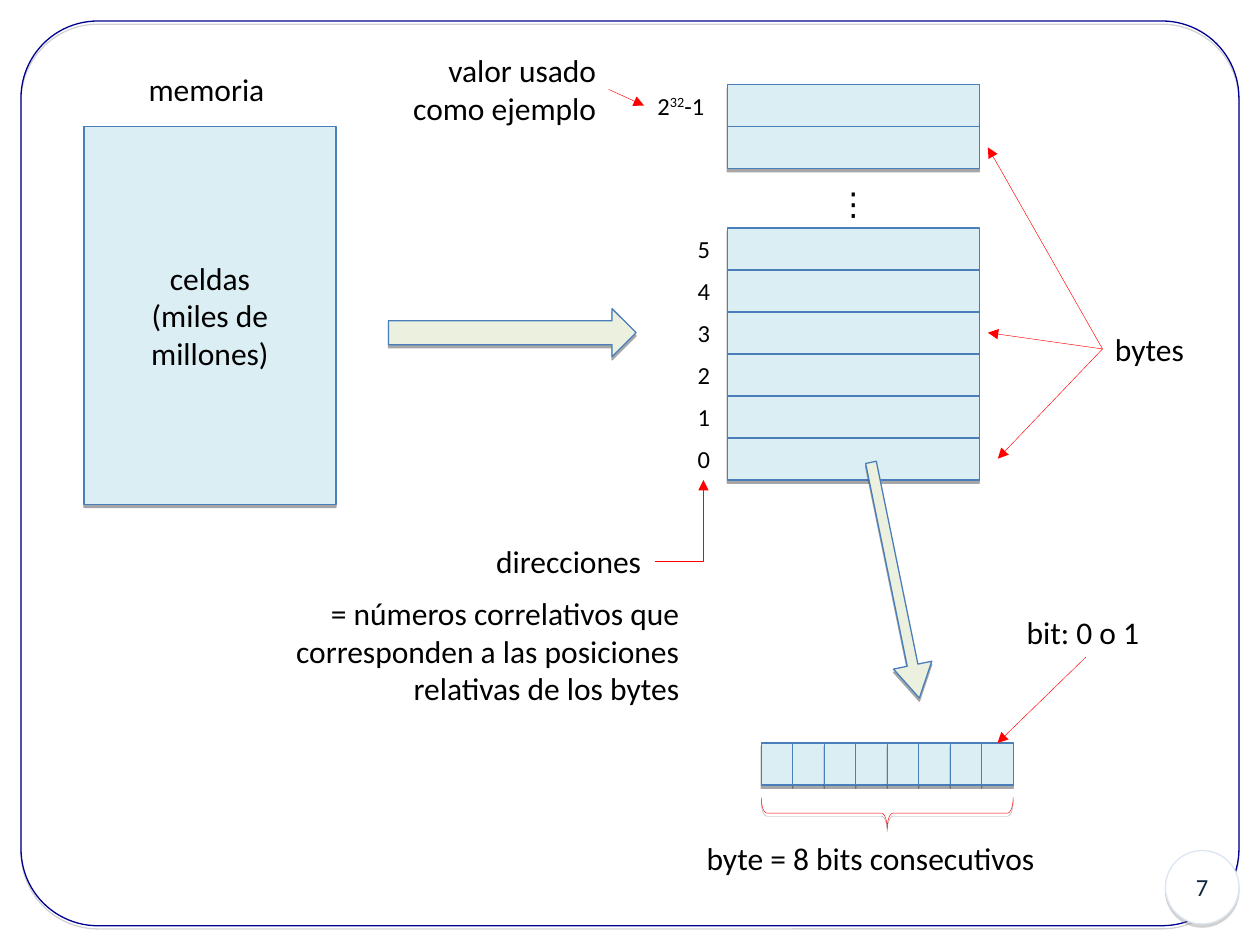
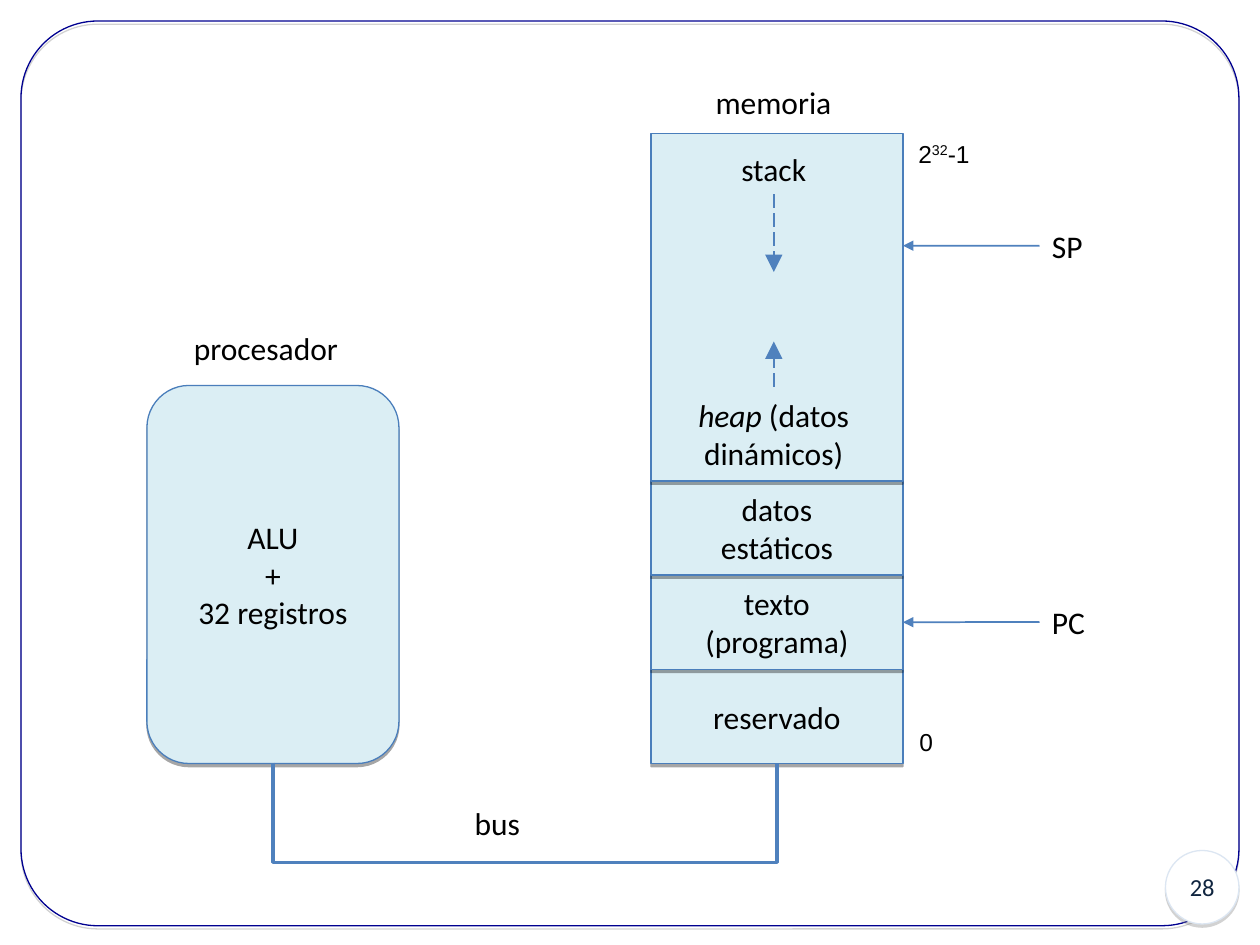
import pptx
import pptx.dml.color
import pptx.enum.dml
import pptx.enum.shapes
import pptx.enum.text
import pptx.oxml.ns
import pptx.util
from lxml import etree

Pt = pptx.util.Pt
qn = pptx.oxml.ns.qn
SHAPE = pptx.enum.shapes.MSO_SHAPE
CONN = pptx.enum.shapes.MSO_CONNECTOR
ALIGN = {"l": pptx.enum.text.PP_ALIGN.LEFT, "c": pptx.enum.text.PP_ALIGN.CENTER,
         "r": pptx.enum.text.PP_ALIGN.RIGHT}
TOP, LEFT, BOTTOM, RIGHT = range(4)


class Theme:
    frame, badge_line, badge_text = "000090", "DCE6F2", "10253F"
    cell, outline, arrow = "DBEEF4", "4A7EBB", "EBF1DE"
    red, blue, black, white, grey = "FF0000", "4F81BD", "000000", "FFFFFF", "808080"
    font, alt_font = "Calibri", "Arial"
    body, small = 18, 14
    thin, hair, medium, thick = 0.75, 0.25, 1, 2


# ---- Content: a line is a string or a list of (text, style) runs ----
TOP_ADDRESS = [[("2", ""), ("32", "sup"), ("-1", "")]]

# name: (lines, left, top, width, align)
BYTE_LABELS = {
    "bit": (["bit: 0 o 1"], 579.6, 346.6, 82, "l"),
    "byte": (["byte = 8 bits consecutivos"], 396.7, 476.2, 205, "l"),
    "addresses": (["direcciones"], 276.5, 306, 100, "l"),
    "bytes": (["bytes"], 630, 185, 57, "l"),
    "meaning": (["= números correlativos que", "corresponden a las posiciones",
                 "relativas de los bytes"], 160, 335.8, 235.3, "r"),
    "memory": (["memoria"], 77.8, 36.3, 83, "l"),
    "example": (["valor usado", "como ejemplo"], 227, 25.9, 120.8, "r"),
}
CELLS = ["celdas", "(miles de", "millones)"]
ADDRESSES = ["5", "4", "3", "2", "1", "0"]
BIT_COUNT = 8
BYTE_TARGETS = [(570.2, 262.1), (564.5, 190.1), (564.5, 84.2)]

PROCESSOR = ["ALU", "+", "32 registros"]
SEGMENTS = [["reservado"], ["texto", "(programa)"], ["datos", "estáticos"]]  # from address 0 up
BUS_LABELS = {
    "processor": (["procesador"], 103.7, 184.3, 100, "l"),
    "bus": (["bus"], 264.2, 455.8, 44, "l"),
    "heap": ([[("heap", "it"), (" (datos", "")], "dinámicos)"], 389.7, 222.8, 104.8, "c"),
    "stack": (["stack"], 414.2, 82.1, 55.8, "c"),
    "PC": (["PC"], 594, 341, 38, "l"),
    "SP": (["SP"], 594, 126, 38, "l"),
    "memory": (["memoria"], 401.8, 44.2, 83, "l"),
}
GROWTH = [(110.9, 155.5), (221, 195.1)]  # stack downwards, heap upwards


# ---- Helpers ----
def rgb(value):
    return pptx.dml.color.RGBColor.from_string(value)


def write(tf, lines, size, align, color=Theme.black, font=Theme.font):
    for i, line in enumerate(lines):
        p = tf.paragraphs[0] if i == 0 else tf.add_paragraph()
        p.alignment = ALIGN[align]
        for text, style in [(line, "")] if isinstance(line, str) else line:
            r = p.add_run()
            r.text = text
            r.font.size, r.font.name = Pt(size), font
            r.font.color.rgb = rgb(color)
            if style == "it":
                r.font.italic = True
            elif style == "sup":
                r._r.get_or_add_rPr().set("baseline", "30000")


def add_text(s, lines, x, y, w, align="l", size=Theme.body, font=Theme.font):
    height = 7.2 + 1.2 * size * len(lines)
    sp = s.shapes.add_textbox(Pt(x), Pt(y), Pt(w), Pt(height))
    tf = sp.text_frame
    tf.word_wrap = False
    tf.auto_size = pptx.enum.text.MSO_AUTO_SIZE.SHAPE_TO_FIT_TEXT
    write(tf, lines, size, align, font=font)
    return sp


def add_labels(s, labels):
    return {name: add_text(s, *label) for name, label in labels.items()}


def add_shape(s, kind, x, y, w, h, fill=Theme.cell, line=Theme.outline, width=Theme.thin,
              adj=(), rotation=0, shadow=Theme.black, lines=(), size=Theme.body,
              color=Theme.black):
    sp = s.shapes.add_shape(kind, Pt(x), Pt(y), Pt(w), Pt(h))
    for i, value in enumerate(adj):
        sp.adjustments[i] = value
    sp.rotation = rotation
    if fill:
        sp.fill.solid()
        sp.fill.fore_color.rgb = rgb(fill)
    else:
        sp.fill.background()
    sp.line.color.rgb, sp.line.width = rgb(line), Pt(width)
    # Short shadow straight down
    sp.shadow.inherit = False
    effects = sp._element.spPr.find(qn("a:effectLst"))
    drop = etree.SubElement(effects, qn("a:outerShdw"), blurRad="0", dist=str(Pt(1.8)),
                            dir="5400000", rotWithShape="0")
    tint = etree.SubElement(drop, qn("a:srgbClr"), val=shadow)
    etree.SubElement(tint, qn("a:alpha"), val="35000")
    if lines:
        tf = sp.text_frame
        tf.vertical_anchor = pptx.enum.text.MSO_ANCHOR.MIDDLE
        write(tf, lines, size, "c", color)
    return sp


def is_point(end):
    return isinstance(end[0], (int, float))


def add_line(s, start, end, color=Theme.red, width=Theme.hair, kind=CONN.STRAIGHT,
             head="med", dash=False):
    """Each end is a point (x, y) or a joint (shape, side); head is the arrowhead size."""
    points = [end_ if is_point(end_) else (0, 0) for end_ in (start, end)]
    sp = s.shapes.add_connector(kind, *[Pt(v) for point in points for v in point])
    if not is_point(start):
        sp.begin_connect(*start)
    if not is_point(end):
        sp.end_connect(*end)
    sp.line.color.rgb, sp.line.width = rgb(color), Pt(width)
    if dash:
        sp.line.dash_style = pptx.enum.dml.MSO_LINE.LONG_DASH
    spPr = sp._element.spPr
    if head:
        etree.SubElement(spPr.find(qn("a:ln")), qn("a:tailEnd"), type="triangle",
                         w=head, len=head)
    etree.SubElement(spPr, qn("a:effectLst"))
    return sp


def add_slide(prs, number):
    """Blank slide with the rounded frame and the page badge."""
    s = prs.slides.add_slide(prs.slide_layouts[6])
    add_shape(s, SHAPE.ROUNDED_RECTANGLE, 12, 12, 696, 517, fill=None, line=Theme.frame,
              adj=[0.085], shadow=Theme.grey)
    add_shape(s, SHAPE.OVAL, 666, 486, 42, 42, fill=Theme.white, line=Theme.badge_line,
              shadow=Theme.grey, lines=[number], size=Theme.small, color=Theme.badge_text)
    return s


# ---- Slides ----
def memory_slide(prs):
    s = add_slide(prs, "7")
    col_x, col_w, cell_h, top_y, low_y = 415.6, 144, 24, 48.3, 130.3
    bits_x, bits_y, bit_w = 435, 424.6, 18

    # One byte as a row of bits, with its brace
    bits = [add_shape(s, SHAPE.RECTANGLE, bits_x + i * bit_w, bits_y, bit_w, cell_h)
            for i in range(BIT_COUNT)]
    add_shape(s, SHAPE.LEFT_BRACE, 498, 392.6, 18, BIT_COUNT * bit_w, fill=None,
              line=Theme.red, width=Theme.hair, adj=[0.18, 0.5], rotation=270)

    # Memory column: low addresses, gap, the two highest cells
    for i, address in enumerate(ADDRESSES):
        y = low_y + i * cell_h
        add_shape(s, SHAPE.RECTANGLE, col_x, y, col_w, cell_h)
        add_text(s, [address], 391.5, y - 0.4, 24, size=Theme.small)
    for i in range(2):
        add_shape(s, SHAPE.RECTANGLE, col_x, top_y + i * cell_h, col_w, cell_h)
    add_text(s, ["⋮"], 471.6, 101.5, 34, font=Theme.alt_font)
    add_text(s, TOP_ADDRESS, 368.6, top_y, 44, size=Theme.small)

    # Whole memory and the zoom arrows
    add_shape(s, SHAPE.RECTANGLE, 48, 72.2, 144, 216, lines=CELLS)
    add_shape(s, SHAPE.RIGHT_ARROW, 222, 176.4, 141.5, 27.4, fill=Theme.arrow)
    add_shape(s, SHAPE.DOWN_ARROW, 500.4, 262.8, 22.3, 137.5, fill=Theme.arrow,
              adj=[0.28, 0.86], rotation=348.4)

    # Labels and their pointers
    labels = add_labels(s, BYTE_LABELS)
    add_line(s, (labels["bit"], BOTTOM), (bits[-1], TOP))
    for target in BYTE_TARGETS:
        add_line(s, (labels["bytes"], LEFT), target)
    add_line(s, (labels["example"], RIGHT), (368, 60.3))
    elbow = add_line(s, (374.4, 320.6), (402, 274.3), kind=CONN.ELBOW)
    elbow._element.spPr.find(qn("a:prstGeom")).set("prst", "bentConnector2")


def bus_slide(prs):
    s = add_slide(prs, "28")
    mem_x, mem_w, mem_top, base, seg_h = 372, 144, 76.3, 436.3, 53.8
    proc_x, bus_depth = 84, 57.4

    # Memory segments stacked upwards, then the stack and heap area
    segments = [add_shape(s, SHAPE.RECTANGLE, mem_x, base - i * seg_h, mem_w, seg_h, lines=lines)
                for i, lines in enumerate(SEGMENTS, 1)]
    free_h = base - len(SEGMENTS) * seg_h - mem_top
    add_shape(s, SHAPE.RECTANGLE, mem_x, mem_top, mem_w, free_h)
    add_shape(s, SHAPE.ROUNDED_RECTANGLE, proc_x, base - 216, 144, 216, lines=PROCESSOR)

    # Bus: a U-shaped elbow turned a quarter, one point wide before turning
    span = mem_x - proc_x
    mid = (mem_x + proc_x + mem_w) / 2
    bus = add_line(s, (mid + 0.5, base - span / 2), (mid - 0.5, base + span / 2), Theme.blue,
                   Theme.thick, CONN.ELBOW, head=None)
    spPr = bus._element.spPr
    spPr.find(qn("a:xfrm")).set("rot", "16200000")
    etree.SubElement(spPr.find(qn("a:prstGeom")).find(qn("a:avLst")), qn("a:gd"), name="adj1",
                     fmla=f"val {round(bus_depth * 100000)}")

    # Labels, addresses and pointers
    labels = add_labels(s, BUS_LABELS)
    add_text(s, ["0"], 518.2, 411.8, 26, size=Theme.small, font=Theme.alt_font)
    add_text(s, TOP_ADDRESS, 517.7, 75.6, 47, size=Theme.small, font=Theme.alt_font)
    for start, end in GROWTH:
        add_line(s, (442.2, start), (442.2, end), Theme.blue, Theme.medium, head="lg", dash=True)
    add_line(s, (labels["SP"], LEFT), (mem_x + mem_w, 140.4), Theme.blue, Theme.medium)
    add_line(s, (labels["PC"], LEFT), (segments[1], RIGHT), Theme.blue, Theme.medium)


def main():
    prs = pptx.Presentation()
    prs.slide_width, prs.slide_height = Pt(720), Pt(540)
    memory_slide(prs)
    bus_slide(prs)
    prs.save("out.pptx")


if __name__ == "__main__":
    main()
